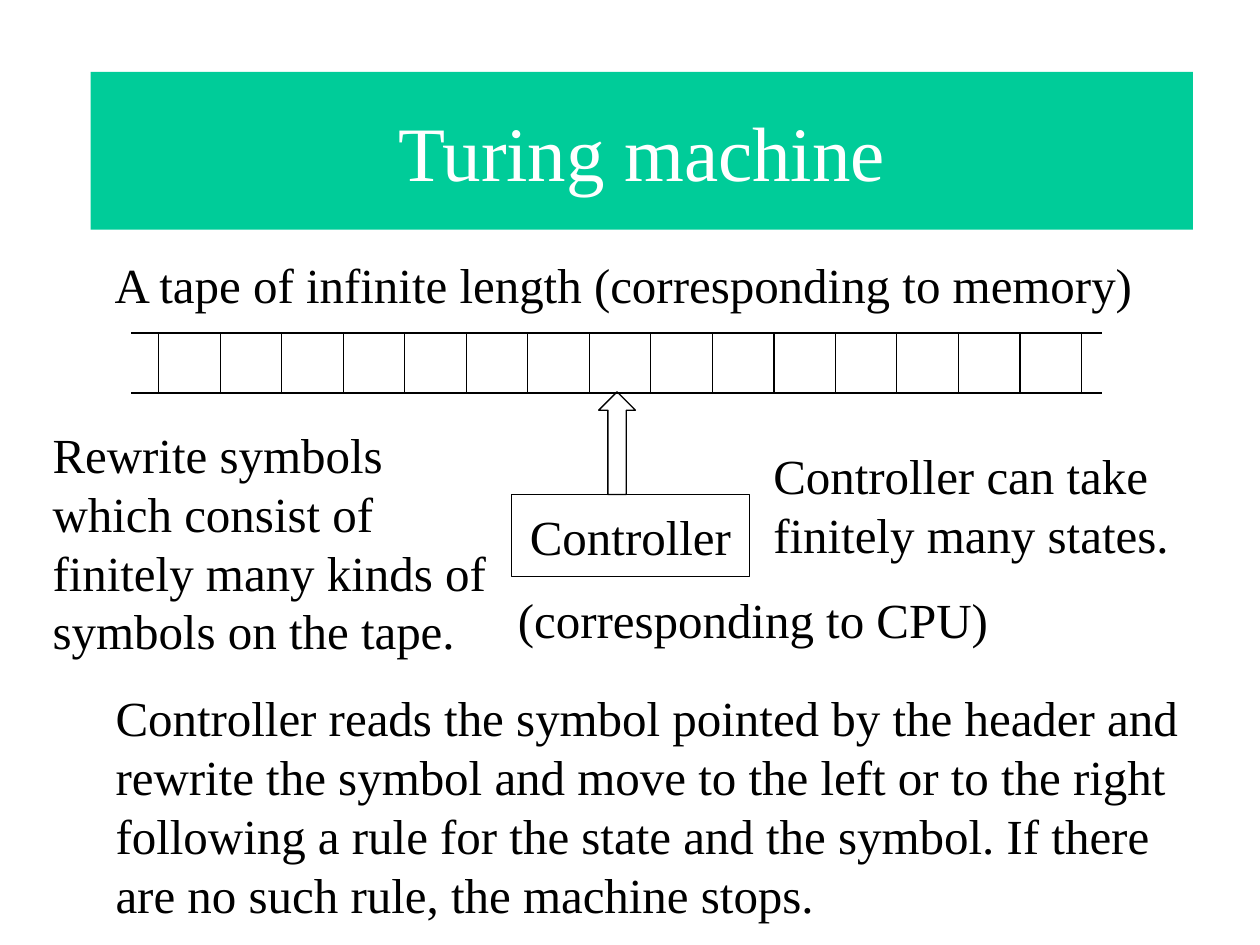
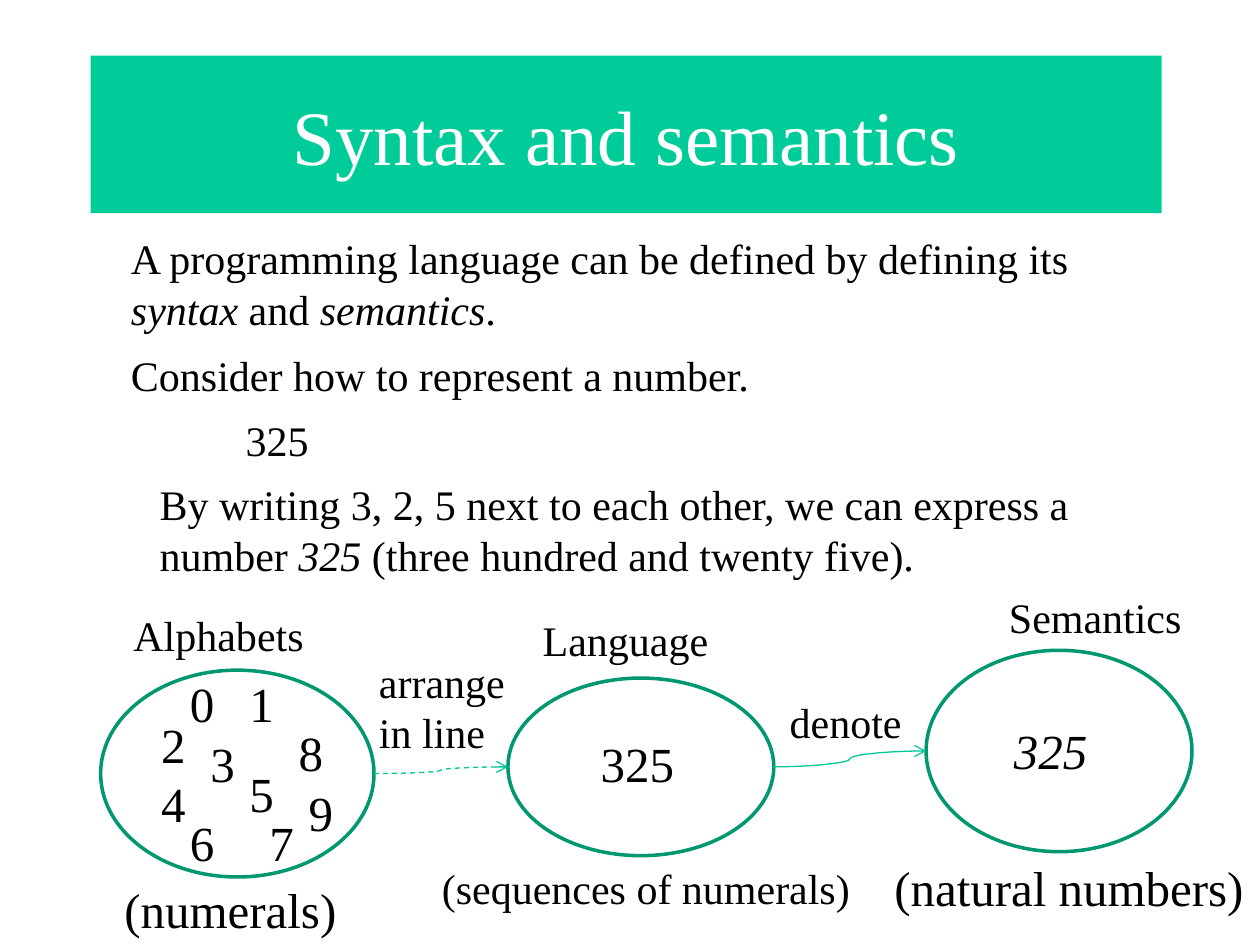
from dataclasses import dataclass

from lxml import etree
from pptx import Presentation
from pptx.dml.color import RGBColor
from pptx.enum.dml import MSO_LINE
from pptx.enum.shapes import MSO_CONNECTOR, MSO_SHAPE
from pptx.enum.text import MSO_ANCHOR, MSO_AUTO_SIZE, PP_ALIGN
from pptx.oxml.ns import qn
from pptx.util import Cm, Pt

RECTANGLE, ELLIPSE, UP_ARROW = MSO_SHAPE.RECTANGLE, MSO_SHAPE.OVAL, MSO_SHAPE.UP_ARROW
STRAIGHT, CURVE = MSO_CONNECTOR.STRAIGHT, MSO_CONNECTOR.CURVE
CENTER, MIDDLE = PP_ALIGN.CENTER, MSO_ANCHOR.MIDDLE
GROW, DASH = MSO_AUTO_SIZE.SHAPE_TO_FIT_TEXT, MSO_LINE.DASH


@dataclass(frozen=True)
class Theme:
    font: str = "Times New Roman"
    band: RGBColor = RGBColor(0x00, 0xCC, 0x99)
    title: RGBColor = RGBColor(0xFF, 0xFF, 0xFF)
    ink: RGBColor = RGBColor(0x00, 0x00, 0x00)
    outline: RGBColor = RGBColor(0x00, 0x97, 0x71)
    arrow: RGBColor = RGBColor(0x00, 0xC8, 0x96)
    title_size: int = 44
    large: int = 28
    medium: int = 24
    thin: float = 0.75
    thick: float = 2


THEME = Theme()
LARGE, MEDIUM = THEME.large, THEME.medium

# All lengths are centimetres. Asterisks enclose italic words.
# Boxes are (left, top, width, height).
MACHINE_TITLE = ("Turing machine", (1.83, 1.45, 22.22, 3.18))
TAPE = {"left": 2.65, "right": 22.22, "top": 6.71, "bottom": 7.92,
        "first_mark": 3.2, "cell": 1.24, "marks": 16}
CONTROLLER = ("Controller", (10.31, 9.97, 4.8, 1.65))
HEAD_BOX = (12.07, 7.9, 0.74, 2.07)

# (text, box, size, wraps)
MACHINE_TEXTS = [
    ("Controller reads the symbol pointed by the header and rewrite the symbol and move "
     "to the left or to the right following a rule for the state and the symbol. "
     "If there are no such rule, the machine stops.", (2.08, 13.74, 21.92, 5.05), LARGE, True),
    ("Controller can take finitely many states.", (15.34, 8.86, 8.69, 2.64), LARGE, True),
    ("Rewrite symbols which consist of finitely many kinds of symbols on the tape.",
     (0.81, 8.43, 9.53, 5.05), LARGE, True),
    ("(corresponding to CPU)", (10.19, 11.76, 10.11, 1.45), LARGE, False),
    ("A tape of infinite length (corresponding to memory)",
     (2.06, 5.0, 21.79, 1.45), LARGE, False),
]

SYNTAX_TITLE = ("Syntax and semantics", (1.83, 1.12, 21.59, 3.18))
SYNTAX_TEXTS = [
    ("A programming language can be defined by defining its *syntax* and *semantics*.",
     (2.39, 4.57, 20.02, 2.31), MEDIUM, True),
    ("Consider how to represent a number.", (2.39, 6.93, 13.11, 1.27), MEDIUM, False),
    ("325", (4.7, 8.23, 1.93, 1.3), MEDIUM, False),
    ("By writing 3, 2, 5 next to each other, we can express a number "
     "*325 *(three hundred and twenty five).", (2.97, 9.53, 19.35, 2.31), MEDIUM, True),
    ("Alphabets", (2.44, 12.17, 4.01, 1.27), MEDIUM, False),
    ("Language", (10.69, 12.27, 3.89, 1.27), MEDIUM, False),
    ("Semantics", (20.09, 11.79, 4.04, 1.27), MEDIUM, False),
    ("325", (11.86, 14.66, 2.01, 1.45), LARGE, True),
    ("*325*", (20.19, 14.4, 2.06, 1.45), LARGE, True),
    ("arrange in line", (7.39, 13.11, 3.23, 2.31), MEDIUM, True),
    ("denote", (15.67, 13.92, 2.79, 1.27), MEDIUM, False),
    ("(numerals)", (2.26, 17.6, 4.83, 1.45), LARGE, False),
    ("(sequences of numerals)", (8.66, 17.27, 8.81, 1.27), MEDIUM, False),
    ("(natural numbers)", (17.78, 17.17, 7.62, 1.45), LARGE, False),
]
ALPHABET_SET = (2.03, 13.51, 5.51, 4.17)
LANGUAGE_SET = (10.24, 13.67, 5.36, 3.58)
SEMANTICS_SET = (18.67, 13.11, 5.36, 4.06)
DIGIT_SIZE = (0.84, 0.94)
DIGIT_PLACES = [(3.58, 13.46), (4.78, 13.46), (3.0, 14.27), (3.99, 14.66), (3.0, 15.47),
                (4.78, 15.27), (3.58, 16.26), (5.18, 16.26), (5.77, 14.45), (5.97, 15.65)]


def lengths(values):
    return [Cm(value) for value in values]


def write(text_frame, text, size, color=THEME.ink):
    """Fill the first paragraph, setting words between asterisks in italics."""
    paragraph = text_frame.paragraphs[0]
    for index, part in enumerate(text.split("*")):
        if part:
            run = paragraph.add_run()
            run.text = part
            if index % 2:
                run.font.italic = True
    paragraph.font.name = THEME.font
    paragraph.font.size = Pt(size)
    paragraph.font.color.rgb = color
    return paragraph


def add_text(slide, text, box, size, wraps):
    text_frame = slide.shapes.add_textbox(*lengths(box)).text_frame
    text_frame.word_wrap = wraps
    text_frame.auto_size = GROW
    write(text_frame, text, size)


def add_figure(slide, kind, box, line=None, width=THEME.thin, fill=None):
    shape = slide.shapes.add_shape(kind, *lengths(box))
    shape.shadow.inherit = False
    if fill is None:
        shape.fill.background()
    else:
        shape.fill.solid()
        shape.fill.fore_color.rgb = fill
    if line is None:
        shape.line.fill.background()
    else:
        shape.line.color.rgb = line
        shape.line.width = Pt(width)
    return shape


def label(shape, text, size, color=THEME.ink):
    shape.text_frame.vertical_anchor = MIDDLE
    write(shape.text_frame, text, size, color).alignment = CENTER


def add_line(slide, start, end, kind=STRAIGHT, color=THEME.ink):
    connector = slide.shapes.add_connector(kind, *lengths(start + end))
    connector.line.color.rgb = color
    connector.line.width = Pt(THEME.thin)
    etree.SubElement(connector._element.spPr, qn("a:effectLst"))
    return connector


def add_set_arrow(slide, source, target, dashed=False):
    """Join the right edge of one set to the left edge of the next."""
    start = (source[0] + source[2], source[1] + source[3] / 2)
    end = (target[0], target[1] + target[3] / 2)
    connector = add_line(slide, start, end, CURVE, THEME.arrow)
    if dashed:
        connector.line.dash_style = DASH
    line = connector._element.spPr.find(qn("a:ln"))
    etree.SubElement(line, qn("a:tailEnd"), type="arrow")


def add_titled_slide(presentation, title, box):
    slide = presentation.slides.add_slide(presentation.slide_layouts[6])
    band = add_figure(slide, RECTANGLE, box, fill=THEME.band)
    label(band, title, THEME.title_size, THEME.title)
    return slide


def add_tape(slide):
    top, bottom = TAPE["top"], TAPE["bottom"]
    for y in (top, bottom):
        add_line(slide, (TAPE["left"], y), (TAPE["right"], y))
    for index in range(TAPE["marks"]):
        x = TAPE["first_mark"] + index * TAPE["cell"]
        add_line(slide, (x, top), (x, bottom))


def build_machine_slide(presentation):
    slide = add_titled_slide(presentation, *MACHINE_TITLE)
    add_tape(slide)
    name, box = CONTROLLER
    label(add_figure(slide, RECTANGLE, box, THEME.ink), name, LARGE)
    add_figure(slide, UP_ARROW, HEAD_BOX, THEME.ink)
    for item in MACHINE_TEXTS:
        add_text(slide, *item)


def build_syntax_slide(presentation):
    slide = add_titled_slide(presentation, *SYNTAX_TITLE)
    for box in (ALPHABET_SET, LANGUAGE_SET, SEMANTICS_SET):
        add_figure(slide, ELLIPSE, box, THEME.outline, THEME.thick)
    for digit, place in enumerate(DIGIT_PLACES):
        add_text(slide, str(digit), place + DIGIT_SIZE, LARGE, False)
    add_set_arrow(slide, ALPHABET_SET, LANGUAGE_SET, dashed=True)
    add_set_arrow(slide, LANGUAGE_SET, SEMANTICS_SET)
    for item in SYNTAX_TEXTS:
        add_text(slide, *item)


def main():
    presentation = Presentation()
    presentation.slide_width, presentation.slide_height = Cm(25.4), Cm(19.05)
    build_machine_slide(presentation)
    build_syntax_slide(presentation)
    presentation.save("out.pptx")


if __name__ == "__main__":
    main()
